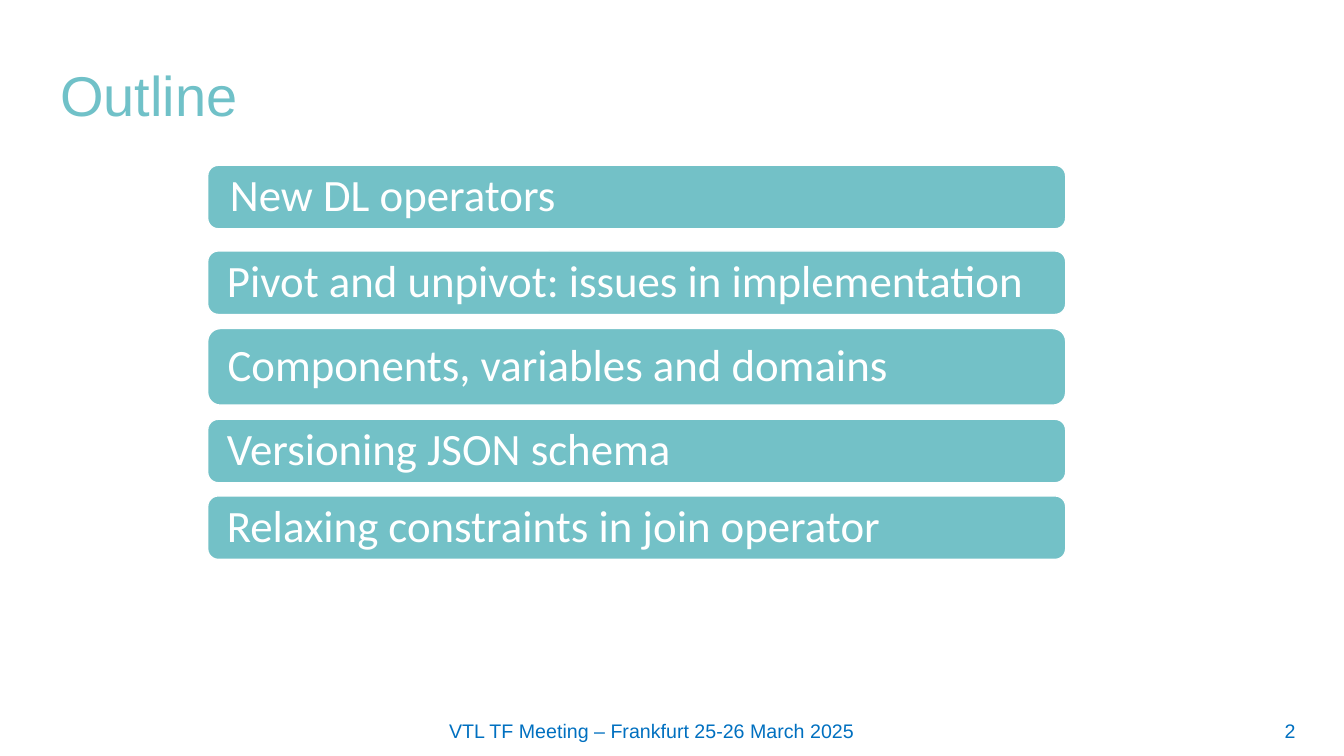
from pptx import Presentation
from pptx.dml.color import RGBColor
from pptx.enum.shapes import MSO_SHAPE
from pptx.enum.text import MSO_ANCHOR, PP_ALIGN
from pptx.util import Inches, Pt

ROUND = MSO_SHAPE.ROUNDED_RECTANGLE
MIDDLE, TOP = MSO_ANCHOR.MIDDLE, MSO_ANCHOR.TOP
LEFT, CENTER = PP_ALIGN.LEFT, PP_ALIGN.CENTER

WHITE, TEAL, BLUE = "FFFFFF", "73C1C7", "0070C0"
TOPICS = [
    ("New DL operators", 1.64, 0.63, 0.19),
    ("Pivot and unpivot: issues in implementation", 2.49, 0.63, 0.16),
    ("Components, variables and domains", 3.26, 0.76, 0.16),
    ("Versioning JSON schema", 4.16, 0.63, 0.16),
    ("Relaxing constraints in join operator", 4.92, 0.63, 0.16),
]


def color(code):
    """Turn a hex string into a colour."""
    return RGBColor.from_string(code)


def write(shape, text, size, font, code, align=LEFT, anchor=MIDDLE):
    """Set and format the text of a shape."""
    frame = shape.text_frame
    frame.text = text
    frame.word_wrap = True
    frame.vertical_anchor = anchor
    line = frame.paragraphs[0]
    line.alignment = align
    face = line.runs[0].font
    face.size, face.name = Pt(size), font
    face.color.rgb = color(code)
    return frame


def label(slide, box, text, size, code, align=LEFT, anchor=TOP):
    """Add a text box in Arial."""
    shape = slide.shapes.add_textbox(*map(Inches, box))
    write(shape, text, size, "Arial", code, align, anchor)


def topic(slide, text, top, height, inset):
    """Add a rounded bar that holds one topic."""
    box = (2.06, top, 8.51, height)
    bar = slide.shapes.add_shape(ROUND, *map(Inches, box))
    bar.shadow.inherit = False
    bar.fill.solid()
    bar.fill.fore_color.rgb = color(TEAL)
    bar.line.color.rgb = color(WHITE)
    bar.line.width = Pt(1)
    frame = write(bar, text, 32, "Calibri", WHITE)
    frame.margin_left = frame.margin_right = Inches(inset)
    frame.margin_top = frame.margin_bottom = 0
    frame.paragraphs[0].line_spacing = 0.9


def main():
    """Build the outline slide."""
    deck = Presentation()
    deck.slide_width, deck.slide_height = Inches(13.33), Inches(7.5)
    slide = deck.slides.add_slide(deck.slide_layouts[6])
    label(slide, (0.5, 0.54, 10.83, 0.78), "Outline", 40, "70C1C8",
          anchor=MIDDLE)
    for item in TOPICS:
        topic(slide, *item)
    label(slide, (4.3, 7.08, 4.33, 0.34),
          "VTL TF Meeting – Frankfurt 25-26 March 2025", 14, BLUE, CENTER)
    label(slide, (12.62, 7.08, 0.35, 0.26), "2", 14, BLUE, CENTER)
    deck.save("out.pptx")


if __name__ == "__main__":
    main()
